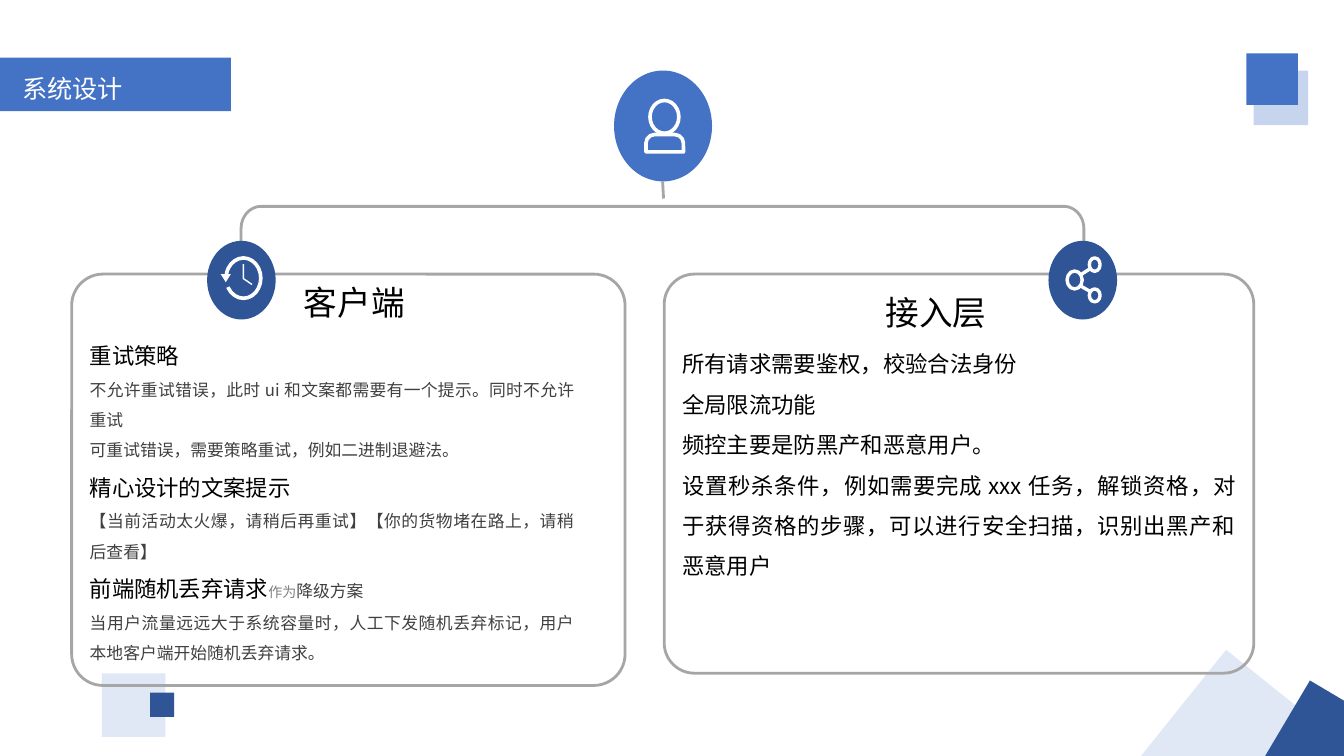
from math import cos, pi, sin

from lxml.etree import SubElement
from pptx import Presentation
from pptx.dml.color import RGBColor
from pptx.enum.shapes import MSO_CONNECTOR, MSO_SHAPE
from pptx.enum.text import MSO_AUTO_SIZE as AUTO, PP_ALIGN as ALIGN
from pptx.oxml.ns import qn
from pptx.util import Pt

WHITE = RGBColor(0xFF, 0xFF, 0xFF)
BLACK = RGBColor(0x00, 0x00, 0x00)
DARK_GRAY = RGBColor(0x40, 0x40, 0x40)
MID_GRAY = RGBColor(0x80, 0x80, 0x80)
LINE_GRAY = RGBColor(0xA6, 0xA6, 0xA6)
BLUE = RGBColor(0x44, 0x72, 0xC4)
NAVY = RGBColor(0x2F, 0x55, 0x97)
PALE = RGBColor(0xC7, 0xD4, 0xED)


def write(para, text, size=16, color=BLACK, font="Noto Sans CJK SC"):
    """Add one formatted span, with the font set for Latin and East Asian text."""
    span = para.add_run()
    span.text = text
    span.font.size = Pt(size)
    span.font.color.rgb = color
    span.font.name = font
    SubElement(span.font._element, qn("a:ea"), typeface=font)


class Painter:
    def __init__(self, page):
        self.shapes = page.shapes

    def style(self, shape, fill, line, width):
        shape.shadow.inherit = False
        if fill is None:
            shape.fill.background()
        else:
            shape.fill.solid()
            shape.fill.fore_color.rgb = fill
        if line is None:
            shape.line.fill.background()
        else:
            shape.line.color.rgb = line
            shape.line.width = Pt(width)
        return shape

    def shape(self, kind, left, top, width, height, fill=None, line=None,
              weight=2, turn=0, adjust=(), alpha=None):
        shape = self.shapes.add_shape(kind, Pt(left), Pt(top), Pt(width), Pt(height))
        for index, value in enumerate(adjust):
            shape.adjustments[index] = value
        shape.rotation = turn
        self.style(shape, fill, line, weight)
        if alpha is not None:
            color = shape.fill._xPr.find(qn("a:solidFill"))[0]
            SubElement(color, qn("a:alpha"), val=str(alpha * 1000))
        return shape

    def outline(self, points, closed=False, fill=None, line=None, weight=2):
        start, *rest = [(Pt(x), Pt(y)) for x, y in points]
        builder = self.shapes.build_freeform(*start, scale=1.0)
        builder.add_line_segments(rest, close=closed)
        return self.style(builder.convert_to_shape(), fill, line, weight)

    def line(self, start, end, color=LINE_GRAY, weight=2):
        ends = [Pt(value) for value in (*start, *end)]
        line = self.shapes.add_connector(MSO_CONNECTOR.STRAIGHT, *ends)
        line.line.color.rgb = color
        line.line.width = Pt(weight)
        SubElement(line._element.spPr, qn("a:effectLst"))

    def text(self, left, top, width, height, paragraphs, align=ALIGN.JUSTIFY,
             margins=(0, 0), spacing=None, grow=True):
        """Each paragraph is a list of (text, size, color) spans."""
        box = self.shapes.add_textbox(Pt(left), Pt(top), Pt(width), Pt(height))
        frame = box.text_frame
        frame.word_wrap = True
        frame.auto_size = AUTO.SHAPE_TO_FIT_TEXT if grow else AUTO.NONE
        frame.margin_left = frame.margin_right = Pt(margins[0])
        frame.margin_top = frame.margin_bottom = Pt(margins[1])
        for index, spans in enumerate(paragraphs):
            para = frame.paragraphs[0] if index == 0 else frame.add_paragraph()
            para.alignment = align
            if spacing:
                para.line_spacing = spacing
                para.space_before = Pt(0.2)
            for text, size, color in spans:
                write(para, text, size=size, color=color)


def bracket_points(left, right, top, bottom, radius_x, radius_y, steps=12):
    """Open-bottomed bracket with two rounded upper corners."""
    angles = [pi / 2 * step / steps for step in range(steps + 1)]
    corner = [(radius_x * (1 - cos(a)), radius_y * (1 - sin(a))) for a in angles]
    rising = [(left + x, top + y) for x, y in corner]
    falling = [(right - x, top + y) for x, y in reversed(corner)]
    return [(left, bottom), *rising, *falling, (right, bottom)]


def main():
    deck = Presentation()
    deck.slide_width, deck.slide_height = Pt(960), Pt(540)
    page = deck.slides.add_slide(deck.slide_layouts[6])
    paint = Painter(page)
    rect, oval = MSO_SHAPE.RECTANGLE, MSO_SHAPE.OVAL

    # Title banner
    paint.shape(MSO_SHAPE.PENTAGON, 0, 41.2, 164.9, 38.2, fill=BLUE, adjust=[0])
    paint.text(8.8, 49, 156, 31, [[("系统设计", 18, WHITE)]],
               margins=(7.2, 3.6), grow=False)

    # Corner squares
    paint.shape(rect, 895.5, 50.4, 39, 39, fill=PALE)
    paint.shape(rect, 830.2, 486, 108, 108, fill=PALE, alpha=53, turn=308.7)
    paint.shape(rect, 72.8, 481, 45.4, 45.4, fill=PALE, alpha=53)
    paint.shape(rect, 107.2, 494.8, 17.2, 17.2, fill=NAVY)
    paint.shape(rect, 890.4, 38.2, 36.8, 36.8, fill=BLUE)
    paint.shape(rect, 914.4, 498.2, 65.5, 65.5, fill=NAVY, turn=300.7)

    # User badge
    paint.shape(oval, 438.6, 50.4, 70, 79.2, fill=BLUE)
    paint.shape(MSO_SHAPE.ROUND_2_SAME_RECTANGLE, 461.4, 96.1, 26.8, 12.4,
                line=WHITE, weight=2.6, adjust=[0.5, 0])
    paint.shape(oval, 464.3, 71.8, 20.6, 23.4, fill=BLUE, line=WHITE, weight=2.6)

    # Connecting bracket and panels
    paint.outline(bracket_points(172.2, 774.2, 147.4, 195.8, 14.4, 15.8),
                  line=LINE_GRAY)
    paint.line((473.3, 129.6), (474, 141.8))
    for left, width, height in ((51.2, 395.3, 293.8), (474.4, 421.2, 285.1)):
        paint.shape(MSO_SHAPE.ROUNDED_RECTANGLE, left, 195.8, width, height,
                    line=LINE_GRAY, adjust=[0.076])

    # Share badge
    paint.shape(oval, 748.9, 172, 49, 56.2, fill=NAVY)
    for start_y, end_y in ((196.2, 191.9), (204.4, 208.2)):
        paint.line((772, start_y), (778.8, end_y), color=WHITE, weight=2.4)
    for left, top, width, height in ((762.2, 193.6, 10.8, 12.8),
                                     (778.1, 184.2, 7.7, 9.6),
                                     (778.1, 206.4, 7.7, 9.2)):
        paint.shape(oval, left, top, width, height, fill=NAVY, line=WHITE, weight=2.4)

    # Retry clock badge; arc angles are degrees times 0.6
    paint.shape(oval, 147.9, 172, 49, 56.2, fill=NAVY)
    paint.shape(MSO_SHAPE.ARC, 161.5, 184.3, 24.8, 28.8, line=WHITE, weight=2.6,
                adjust=[192 * 0.6, 150 * 0.6])
    paint.outline([(157.7, 195.8), (161.3, 201.6), (164.9, 195.8)],
                  closed=True, fill=WHITE)
    paint.outline([(173.8, 188.6), (173.8, 199), (180, 203.2)], line=WHITE, weight=1)

    # Access layer
    paint.text(602.6, 208.8, 131.8, 19.4, [[("接入层", 24, BLACK)]], align=ALIGN.CENTER)
    access_rules = (
        "所有请求需要鉴权，校验合法身份",
        "全局限流功能",
        "频控主要是防黑产和恶意用户。",
        "设置秒杀条件，例如需要完成 xxx 任务，解锁资格，"
        "对于获得资格的步骤，可以进行安全扫描，识别出黑产和恶意用户",
    )
    paint.text(487.4, 240.5, 395.3, 175, [[(rule, 16, BLACK)] for rule in access_rules],
               spacing=1.5)

    # Client
    paint.text(187.2, 201.6, 131.8, 28.8, [[("客户端", 24, BLACK)]], align=ALIGN.CENTER)
    paint.text(64.1, 234.7, 346.3, 241.2, [
        [("重试策略", 16, BLACK)],
        [("不允许重试错误，此时 ui 和文案都需要有一个提示。同时不允许重试", 12, DARK_GRAY)],
        [("可重试错误，需要策略重试，例如二进制退避法。", 12, DARK_GRAY)],
        [("精心设计的文案提示", 16, BLACK)],
        [("【当前活动太火爆，请稍后再重试】【你的货物堵在路上，请稍后查看】", 12, DARK_GRAY)],
        [("前端随机丢弃请求", 16, BLACK), ("作为", 10, MID_GRAY),
         ("降级方案", 12, DARK_GRAY)],
        [("当用户流量远远大于系统容量时，人工下发随机丢弃标记，"
          "用户本地客户端开始随机丢弃请求。", 12, DARK_GRAY)],
    ], spacing=1.5)

    deck.save("out.pptx")


if __name__ == "__main__":
    main()
